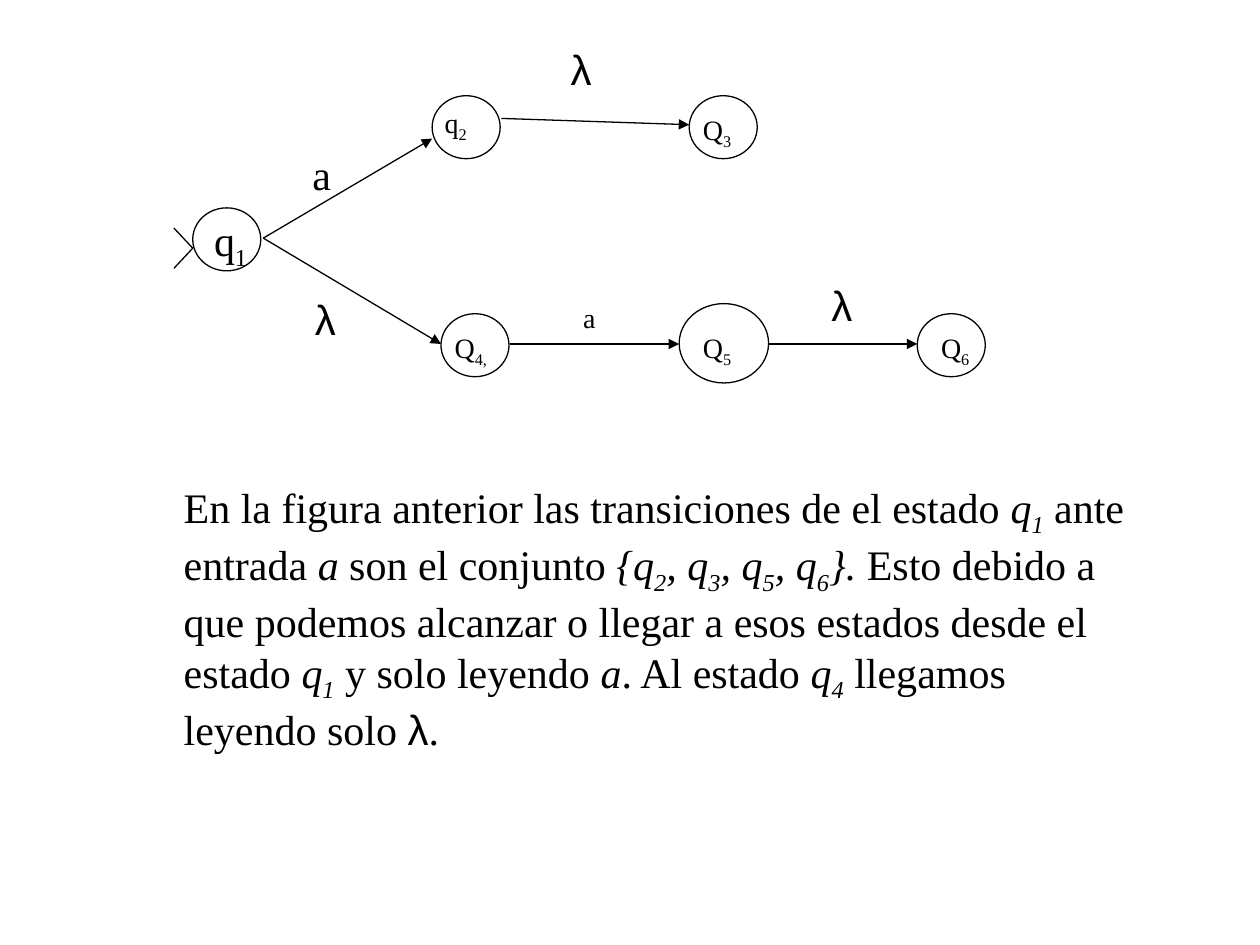
import itertools

import pptx
import pptx.dml.color
import pptx.enum.shapes
import pptx.enum.text
import pptx.oxml
import pptx.oxml.ns
import pptx.util
from pptx.util import Inches

COLORS = {"ink": "000000", "paper": "FFFFFF"}
INK = pptx.dml.color.RGBColor.from_string(COLORS["ink"])
LINE_WIDTH = pptx.util.Pt(0.75)

deck = pptx.Presentation()
deck.slide_width = Inches(10)
deck.slide_height = Inches(7.5)
slide = deck.slides.add_slide(deck.slide_layouts[6])
slide.background.fill.solid()
slide.background.fill.fore_color.rgb = pptx.dml.color.RGBColor.from_string(COLORS["paper"])


def add_text(marked_text, left=0, top=0, width=1, height=0.5, size=24, wrap=False):
    label = slide.shapes.add_textbox(Inches(left), Inches(top), Inches(width), Inches(height))
    label.text_frame.word_wrap = wrap
    label.text_frame.auto_size = pptx.enum.text.MSO_AUTO_SIZE.SHAPE_TO_FIT_TEXT
    paragraph = label.text_frame.paragraphs[0]
    for i, phrase in enumerate(marked_text.split("*")):
        for j, part in enumerate(phrase.split("_")):
            for is_lambda, letters in itertools.groupby(part, lambda letter: letter == "λ"):
                run = paragraph.add_run()
                run.text = "".join(letters)
                run.font.size = pptx.util.Pt(size)
                run.font.name = "Arial" if is_lambda else "Times New Roman"
                run.font.color.rgb = INK
                run.font.italic = i % 2 == 1
                if j % 2:
                    run._r.get_or_add_rPr().set("baseline", "-25000")


def add_line(start, end, arrow=False):
    line = slide.shapes.add_connector(
        pptx.enum.shapes.MSO_CONNECTOR.STRAIGHT, *[Inches(value) for value in start + end]
    )
    line.line.color.rgb = INK
    line.line.width = LINE_WIDTH
    if arrow:
        tail = pptx.oxml.parse_xml(f'<a:tailEnd {pptx.oxml.ns.nsdecls("a")} type="triangle"/>')
        line.line._get_or_add_ln().append(tail)
    effects = pptx.oxml.parse_xml(f'<a:effectLst {pptx.oxml.ns.nsdecls("a")}/>')
    line._element.spPr.append(effects)


states = [
    (1.53, 1.65, 0.54, 0.5),
    (3.43, 0.76, 0.54, 0.5),
    (5.47, 0.76, 0.54, 0.5),
    (3.5, 2.49, 0.54, 0.5),
    (5.39, 2.41, 0.71, 0.63),
    (7.28, 2.49, 0.54, 0.5),
]
for bounds in states:
    state = slide.shapes.add_shape(
        pptx.enum.shapes.MSO_SHAPE.OVAL, *[Inches(value) for value in bounds]
    )
    state.shadow.inherit = False
    state.fill.background()
    state.line.color.rgb = INK
    state.line.width = LINE_WIDTH

for start_y in (1.81, 2.13):
    add_line((1.38, start_y), (1.53, 1.97))

transitions = [
    ((2.09, 1.89), (3.43, 1.1)),
    ((2.09, 1.89), (3.5, 2.73)),
    ((3.98, 0.94), (5.47, 0.99)),
    ((4.05, 2.73), (5.39, 2.73)),
    ((6.1, 2.73), (7.28, 2.73)),
]
for start, end in transitions:
    add_line(start, end, arrow=True)

add_text("q_1_", left=1.6, top=1.65, width=0.49, height=0.56)
state_names = [
    ("q_2_", 3.43, 0.79, 0.4),
    ("Q_3_", 5.48, 0.84, 0.45),
    ("Q_4,_", 3.51, 2.57, 0.48),
    ("Q_5_", 5.48, 2.57, 0.45),
    ("Q_6_", 7.37, 2.57, 0.45),
]
for name, left, top, width in state_names:
    add_text(name, left=left, top=top, width=width, height=0.41, size=16)

add_text("a", left=2.38, top=1.13, width=0.35)
add_text("a", left=4.53, top=2.34, width=0.3, height=0.37, size=16)
for left, top in [(2.4, 2.28), (6.5, 2.17), (4.43, 0.3)]:
    add_text("λ", left=left, top=top, width=0.38)

add_text(
    "En la figura anterior las transiciones de el estado *q_1_* ante entrada *a* son el "
    "conjunto *{q_2_, q_3_, q_5_, q_6_}.* Esto debido a que podemos alcanzar o llegar a "
    "esos estados desde el estado *q_1_* y solo leyendo *a*. Al estado *q_4_* llegamos "
    "leyendo solo λ.",
    left=1.36, top=3.77, width=7.74, height=2.27, wrap=True,
)

deck.save("out.pptx")
